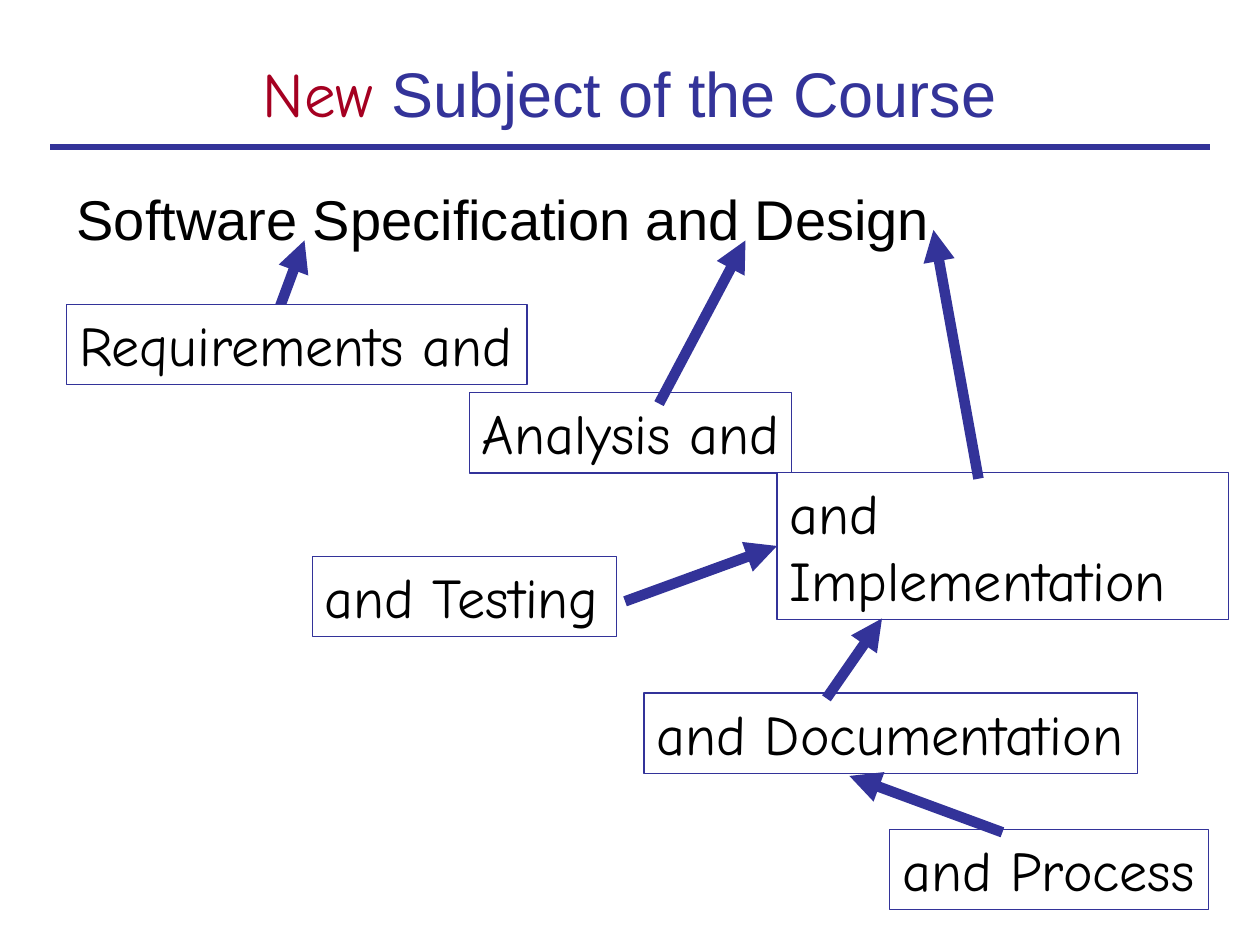
"""Build the course subject slide: a topic widened step by step by boxes and arrows."""
from dataclasses import dataclass

from lxml.etree import SubElement
from pptx import Presentation
from pptx.dml.color import RGBColor
from pptx.enum.shapes import MSO_CONNECTOR, MSO_SHAPE
from pptx.enum.text import MSO_ANCHOR, MSO_AUTO_SIZE, PP_ALIGN
from pptx.oxml.ns import qn
from pptx.util import Inches, Pt

COLS, ROWS = 120, 90
CELL = Inches(10) / COLS
BOX_ROWS = 7.65


@dataclass(frozen=True)
class Theme:
    """Colours, fonts, type sizes and line widths."""
    blue: RGBColor = RGBColor(0x33, 0x33, 0x99)
    red: RGBColor = RGBColor(0xA5, 0x00, 0x21)
    black: RGBColor = RGBColor(0, 0, 0)
    white: RGBColor = RGBColor(255, 255, 255)
    plain: str = "Arial"
    comic: str = "Comic Neue"
    title: int = 36
    text: int = 32
    rule: float = 3
    arrow: float = 6
    border: float = 0.75


T = Theme()

BOXES = {
    "Requirements and": (6.35, 29, 43.85, BOX_ROWS),
    "Analysis and": (44.7, 37.4, 30.7, BOX_ROWS),
    "and Implementation": (74, 45, 43, 14),
    "and Testing": (29.75, 53, 28.95, BOX_ROWS),
    "and Documentation": (61.35, 66, 47, BOX_ROWS),
    "and Process": (84.75, 79, 30.35, BOX_ROWS),
}
WRAPPED = "and Implementation"
REQUIREMENTS_ARROW = (26, 31, 29, 22.9)
TESTING_ARROW = (60, 57.1, 74, 52)
ARROWS = [
    (63, 38, 71, 22.9),
    (93.1, 45.1, 88.9, 21.9),
    (79, 66.1, 84, 58.9),
    (95, 79.1, 80.9, 73.9),
]


def grid(*cells):
    """Turn grid cells into lengths."""
    return [round(c * CELL) for c in cells]


def apply(obj, values):
    """Set each attribute named in a dict."""
    for name, value in values.items():
        setattr(obj, name, value)


def add_run(p, text, font, size, color):
    """Append a formatted run to a paragraph."""
    r = p.add_run()
    r.text = text
    apply(r.font, {"name": font, "size": Pt(size)})
    r.font.color.rgb = color


def fill_placeholder(sp, cells, anchor, align, runs):
    """Place a placeholder and write its one paragraph without a bullet."""
    apply(sp, dict(zip(("left", "top", "width", "height"), grid(*cells))))
    tf = sp.text_frame
    apply(tf, {"vertical_anchor": anchor, "auto_size": MSO_AUTO_SIZE.NONE, "word_wrap": True})
    p = tf.paragraphs[0]
    apply(p, {"alignment": align, "space_before": Pt(8)})
    pPr = p._p.get_or_add_pPr()
    for name in ("marL", "indent"):
        pPr.set(name, "0")
    SubElement(pPr, qn("a:buNone"))
    for run in runs:
        add_run(p, *run)


def add_line(s, ends, width, head=False):
    """Draw a square-capped straight line, with an arrowhead at its end if asked."""
    cxn = s.shapes.add_connector(MSO_CONNECTOR.STRAIGHT, *grid(*ends))
    cxn.line.color.rgb = T.blue
    cxn.line.width = Pt(width)
    ln = cxn.line._get_or_add_ln()
    ln.set("cap", "sq")
    if head:
        SubElement(ln, qn("a:tailEnd"), type="triangle")
    SubElement(cxn._element.spPr, qn("a:effectLst"))
    return cxn


def add_box(s, text, cells):
    """Draw a bordered box around a label, with a slim right inset to hold it on its lines."""
    sp = s.shapes.add_shape(MSO_SHAPE.RECTANGLE, *grid(*cells))
    sp.shadow.inherit = False
    sp.fill.solid()
    sp.fill.fore_color.rgb = T.white
    sp.line.color.rgb = T.blue
    sp.line.width = Pt(T.border)
    tf = sp.text_frame
    apply(tf, {"word_wrap": text == WRAPPED, "auto_size": MSO_AUTO_SIZE.NONE,
               "vertical_anchor": MSO_ANCHOR.TOP})
    if text != WRAPPED:
        tf.margin_right = Inches(0.02)
    p = tf.paragraphs[0]
    p.alignment = PP_ALIGN.LEFT
    add_run(p, text, T.comic, T.text, T.black)
    return sp


def main():
    """Build and save the slide."""
    prs = Presentation()
    apply(prs, dict(zip(("slide_width", "slide_height"), grid(COLS, ROWS))))
    s = prs.slides.add_slide(prs.slide_layouts[1])
    add_line(s, (5, 14, COLS - 5, 14), T.rule)
    fill_placeholder(s.shapes.title, (6, 3.6, 108, 10.4), MSO_ANCHOR.MIDDLE, PP_ALIGN.CENTER,
                     [("New", T.comic, T.title, T.red),
                      (" Subject of the Course", T.plain, T.title, T.blue)])
    fill_placeholder(s.placeholders[1], (6.1, 17, 108, 8), MSO_ANCHOR.TOP, PP_ALIGN.LEFT,
                     [("Software Specification and Design", T.plain, T.text, T.black)])
    add_line(s, REQUIREMENTS_ARROW, T.arrow, head=True)
    boxes = {text: add_box(s, text, cells) for text, cells in BOXES.items()}
    for ends in ARROWS:
        add_line(s, ends, T.arrow, head=True)
    add_line(s, TESTING_ARROW, T.arrow, head=True).end_connect(boxes[WRAPPED], 1)
    prs.save("out.pptx")


if __name__ == "__main__":
    main()
